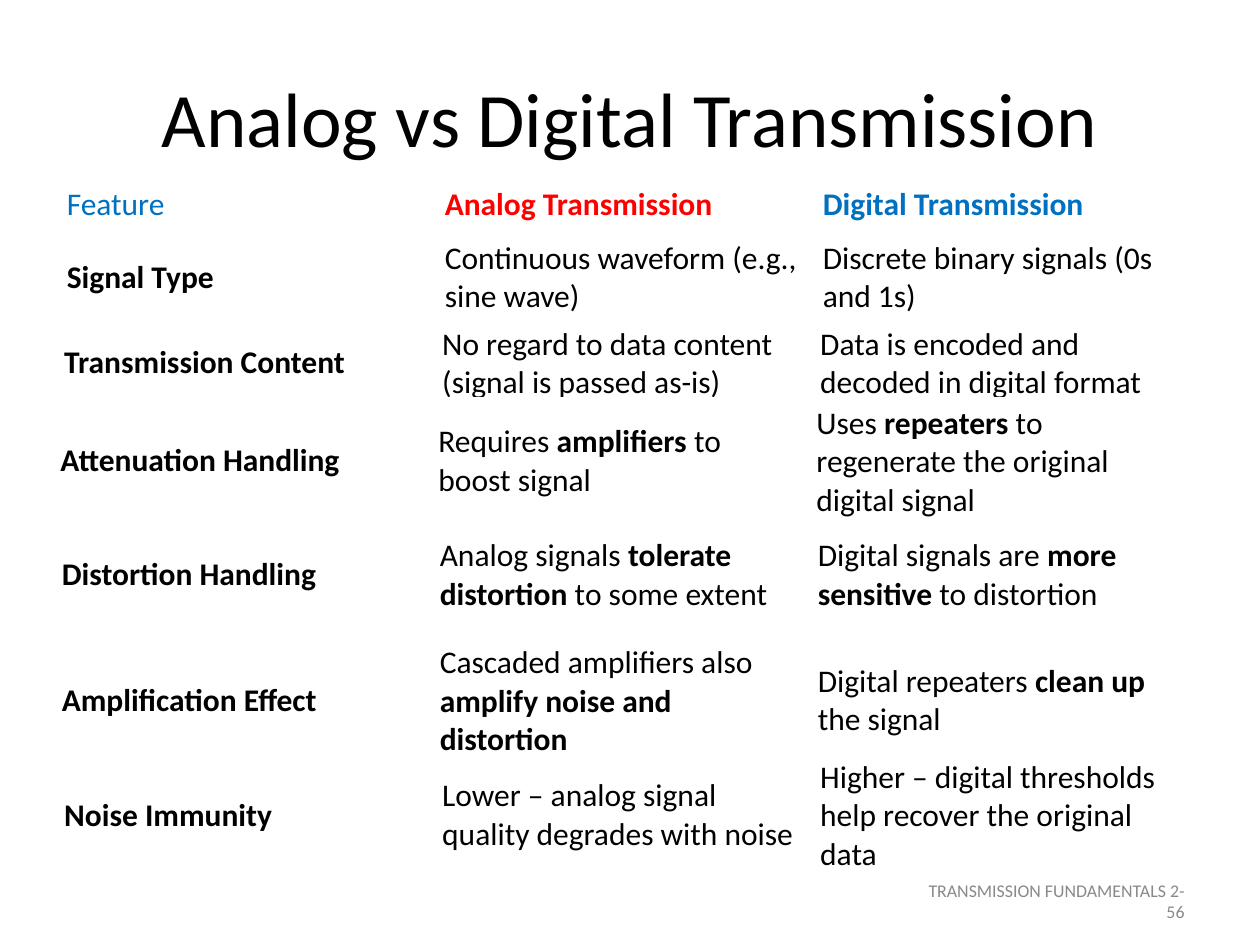
from pptx import Presentation
from pptx.dml.color import RGBColor
from pptx.enum.text import MSO_ANCHOR, PP_ALIGN
from pptx.util import Inches, Pt

MIDDLE = MSO_ANCHOR.MIDDLE
LEFT, CENTER, RIGHT = PP_ALIGN.LEFT, PP_ALIGN.CENTER, PP_ALIGN.RIGHT
TITLE_ONLY = 5
GRID_COLS, GRID_ROWS = 10, 7.5
BLACK, RED, BLUE, GRAY = "000000", "FF0000", "0070C0", "898989"

HEADER = [("Feature", BLUE), ("**Analog Transmission**", RED), ("**Digital Transmission**", BLUE)]
FEATURES = [
    (0.43, 1.85, 0.7, "**Signal Type**",
     "Continuous waveform (e.g., sine wave)",
     "Discrete binary signals (0s and 1s)"),
    (0.41, 2.53, 0.7, "**Transmission Content**",
     "No regard to data content (signal is passed as-is)",
     "Data is encoded and decoded in digital format"),
    (0.38, 3.16, 1, "**Attenuation Handling**",
     "Requires **amplifiers** to boost signal",
     "Uses **repeaters** to regenerate the original digital signal"),
    (0.39, 4.21, 0.7, "**Distortion Handling**",
     "Analog signals **tolerate distortion** to some extent",
     "Digital signals are **more sensitive** to distortion"),
    (0.39, 5.06, 1, "**Amplification Effect**",
     "Cascaded amplifiers also **amplify noise and distortion**",
     "Digital repeaters **clean up** the signal"),
    (0.41, 5.97, 1, "**Noise Immunity**",
     "Lower – analog signal quality degrades with noise",
     "Higher – digital thresholds help recover the original data"),
]


def rgb(value):
    return RGBColor.from_string(value)


class Deck:
    font = "Calibri"
    body_size = 18

    def __init__(self):
        self.prs = Presentation()
        self.prs.slide_width, self.prs.slide_height = Inches(10), Inches(7.5)
        self.s = self.prs.slides.add_slide(self.prs.slide_layouts[TITLE_ONLY])

    def box(self, x, y, w, h):
        col = self.prs.slide_width / GRID_COLS
        row = self.prs.slide_height / GRID_ROWS
        return int(x * col), int(y * row), int(w * col), int(h * row)

    def set_text(self, tf, text, size, color, align=LEFT):
        tf.word_wrap = True
        p = tf.paragraphs[0]
        p.alignment = align
        p.font.name, p.font.size = self.font, Pt(size)
        p.font.color.rgb = rgb(color)
        for i, part in enumerate(text.split("**")):
            if part:
                r = p.add_run()
                r.text = part
                r.font.name, r.font.size = self.font, Pt(size)
                r.font.color.rgb = rgb(color)
                r.font.bold = i % 2 == 1

    def title(self, text, *place):
        sp = self.s.shapes.title
        sp.left, sp.top, sp.width, sp.height = self.box(*place)
        sp.text_frame.vertical_anchor = MIDDLE
        self.set_text(sp.text_frame, text, 44, BLACK, CENTER)

    def footer(self, text, *place):
        tf = self.s.shapes.add_textbox(*self.box(*place)).text_frame
        tf.vertical_anchor = MIDDLE
        self.set_text(tf, text, 10.2, GRAY, RIGHT)

    def table_row(self, x, y, h, cells):
        table = self.s.shapes.add_table(1, len(cells), *self.box(x, y, 9, h)).table
        table.first_row = table.horz_banding = False
        for cell, (text, color) in zip(table.iter_cells(), cells):
            cell.fill.background()
            cell.vertical_anchor = MIDDLE
            self.set_text(cell.text_frame, text, self.body_size, color)


def main():
    deck = Deck()
    deck.title("Analog vs Digital Transmission", 0.5, 0.3, 9, 1.25)
    deck.footer("TRANSMISSION FUNDAMENTALS 2-56", 7.17, 6.95, 2.33, 0.4)
    deck.table_row(0.43, 1.42, 0.4, HEADER)
    for x, y, h, *texts in FEATURES:
        deck.table_row(x, y, h, [(text, BLACK) for text in texts])
    deck.prs.save("out.pptx")


if __name__ == "__main__":
    main()
